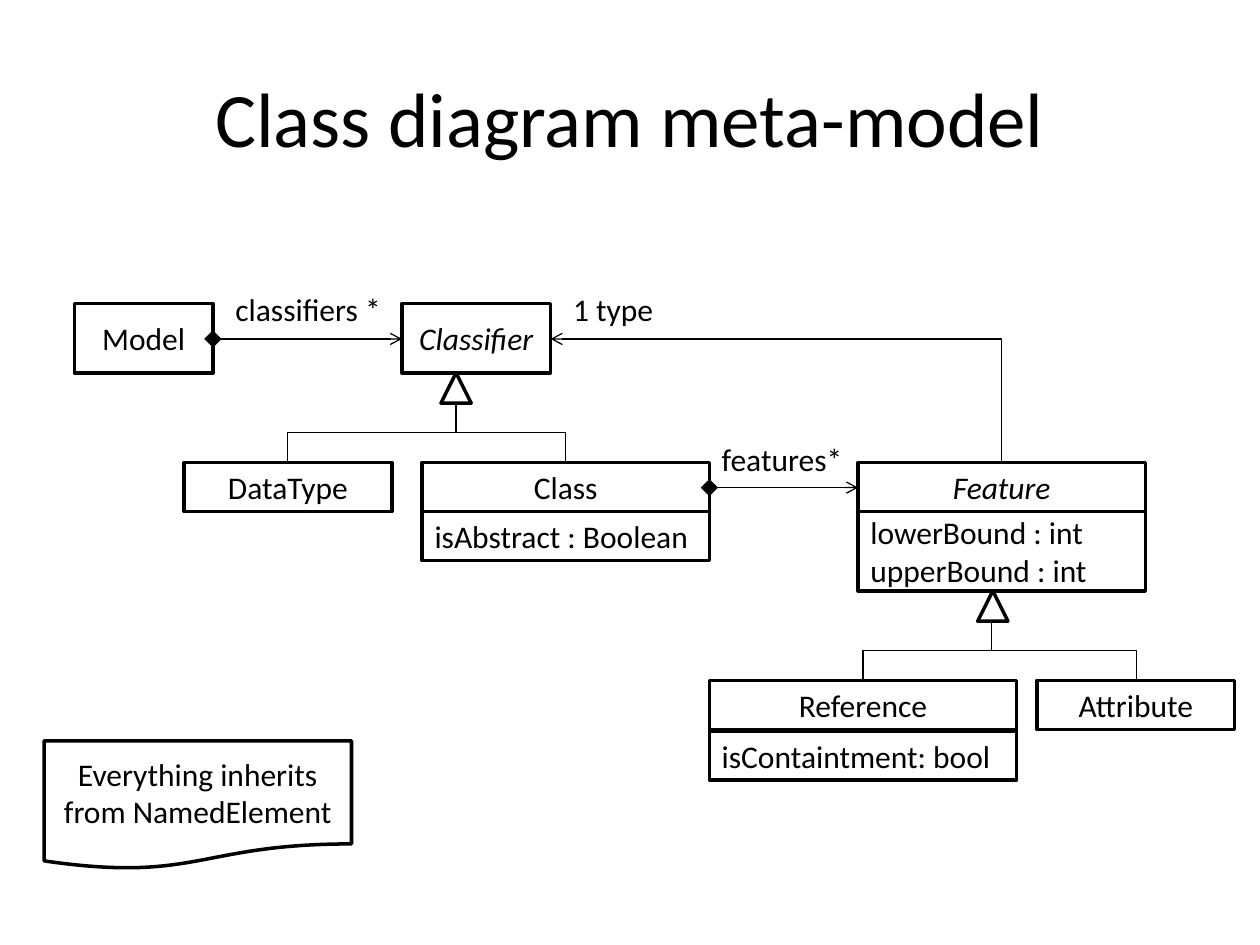
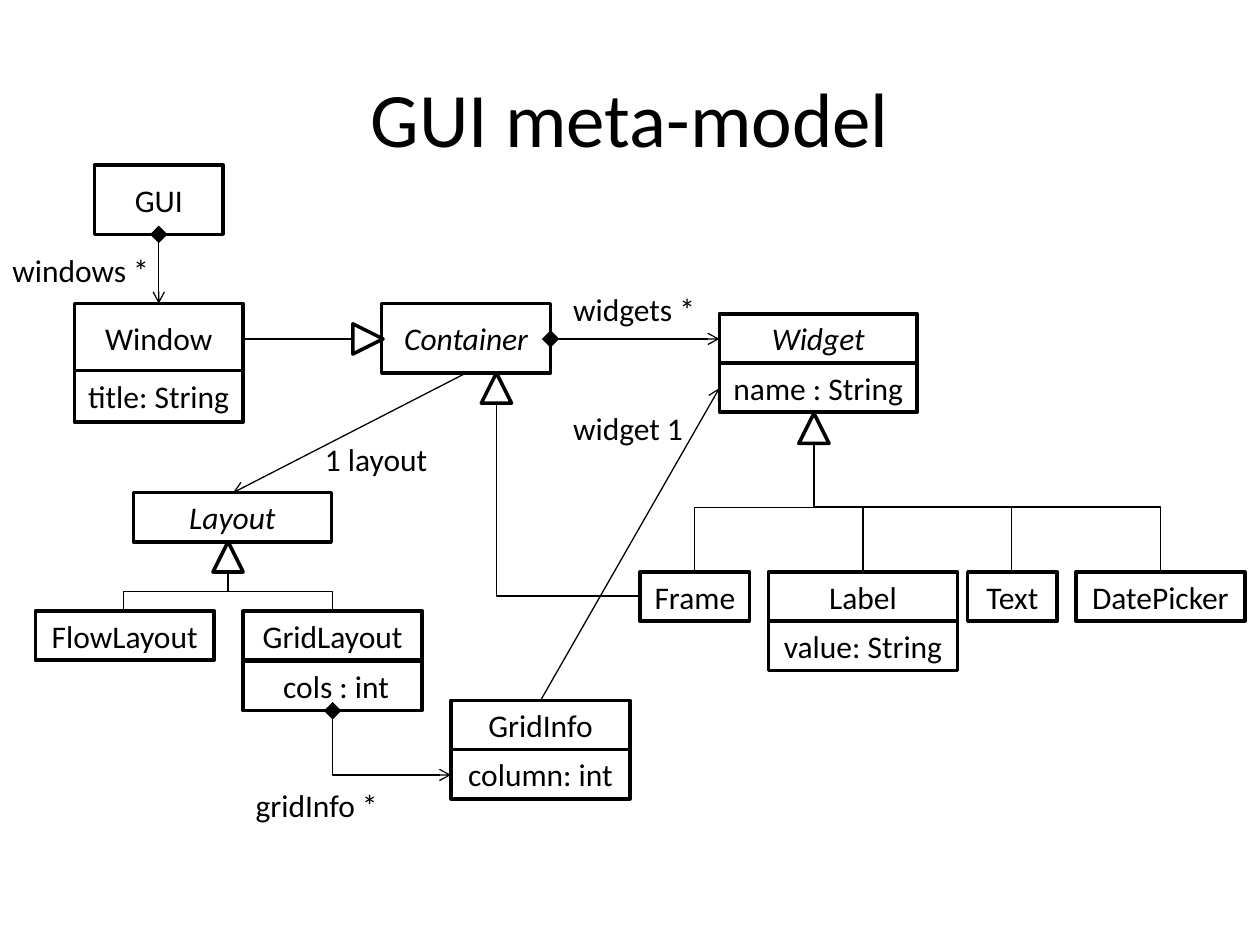
"""Build two slides with UML class diagrams of the class and GUI meta-models."""
import dataclasses
import math

import lxml.etree
import pptx
import pptx.dml.color
import pptx.enum.shapes
import pptx.enum.text
import pptx.oxml.ns
import pptx.util

Inches = pptx.util.Inches
Shape = pptx.enum.shapes.MSO_SHAPE
Align = pptx.enum.text.PP_ALIGN
qn = pptx.oxml.ns.qn


@dataclasses.dataclass(frozen=True)
class Theme:
    ink = pptx.dml.color.RGBColor(0, 0, 0)
    paper = pptx.dml.color.RGBColor(255, 255, 255)
    font = "Calibri"
    title_size = pptx.util.Pt(44)
    body_size = pptx.util.Pt(18)
    outline = pptx.util.Pt(2)
    thin = pptx.util.Pt(0.75)


theme = Theme()
ROW, TALL, TIP = 0.39, 0.55, 0.24
RIGHT, DOWN, LEFT, UP = 0, 90, 180, 270


def write(frame, text, size, align, italic=False):
    frame.vertical_anchor = pptx.enum.text.MSO_ANCHOR.MIDDLE
    for index, line in enumerate(text.split("\n")):
        para = frame.paragraphs[0] if index == 0 else frame.add_paragraph()
        para.alignment = align
        span = para.add_run()
        span.text = line
        span.font.name = theme.font
        span.font.size = size
        span.font.italic = italic
        span.font.color.rgb = theme.ink


def connect(page, start, end, preset="line", heading=RIGHT, head=None, tail=None):
    angle = math.radians(heading)
    across, down = end[0] - start[0], end[1] - start[1]
    width = across * math.cos(angle) + down * math.sin(angle)
    height = down * math.cos(angle) - across * math.sin(angle)
    middle_x, middle_y = (start[0] + end[0]) / 2, (start[1] + end[1]) / 2
    line = page.shapes.add_connector(
        pptx.enum.shapes.MSO_CONNECTOR.STRAIGHT,
        Inches(middle_x - width / 2), Inches(middle_y - height / 2),
        Inches(middle_x + width / 2), Inches(middle_y + height / 2))
    line.line.color.rgb = theme.ink
    line.line.width = theme.thin
    properties = line._element.spPr
    properties.find(qn("a:xfrm")).set("rot", str(heading * 60000))
    properties.find(qn("a:prstGeom")).set("prst", preset)
    stroke = properties.find(qn("a:ln"))
    for tag, kind in (("a:headEnd", head), ("a:tailEnd", tail)):
        if kind:
            size = "lg" if kind == "diamond" else "med"
            lxml.etree.SubElement(stroke, qn(tag), type=kind, w=size, len=size)
    lxml.etree.SubElement(properties, qn("a:effectLst"))


class_diagram = {
    "title": "Class diagram meta-model",
    "classes": [
        ("Model", 0.59, 2.41, 1.1, TALL),
        ("DataType", 1.46, 3.67, 1.65, ROW),
        ("Class", 3.35, 3.67, 2.28, ROW),
        ("Reference", 5.63, 5.4, 2.44, ROW),
        ("Attribute", 8.23, 5.4, 1.57, ROW),
    ],
    "abstract": [
        ("Classifier", 3.19, 2.41, 1.18, TALL),
        ("Feature", 6.81, 3.67, 2.28, ROW),
    ],
    "attributes": [
        ("isAbstract : Boolean", 3.35, 4.06, 2.28, ROW),
        ("isContaintment: bool", 5.63, 5.8, 2.44, ROW),
        ("lowerBound : int\nupperBound : int", 6.81, 4.06, 2.28, 0.63),
    ],
    "notes": [("Everything inherits\nfrom NamedElement", 0.35, 5.88, 2.44, 1.02)],
    "tips": [(3.5, 2.96, 0), (7.76, 4.69, 0)],
    "trees": [
        ((3.62, 3.2), 3.67, [2.28, 4.49]),
        ((7.87, 4.93), 5.4, [6.85, 9.02]),
    ],
    "links": [
        ((1.69, 2.69), (3.19, 2.69), "line", RIGHT, "diamond", "arrow"),
        ((5.63, 3.87), (6.81, 3.87), "line", RIGHT, "diamond", "arrow"),
        ((7.95, 3.67), (4.37, 2.69), "bentConnector2", UP, None, "arrow"),
    ],
    "labels": [
        ("classifiers *", 1.77, 2.25, 1.37),
        ("features*", 5.63, 3.44, 1.17),
        ("1 type", 4.45, 2.25, 0.85),
    ],
}

gui_diagram = {
    "title": "GUI meta-model",
    "classes": [
        ("GUI", 0.75, 1.31, 1.02, TALL),
        ("Window", 0.59, 2.41, 1.34, TALL),
        ("title: String", 0.59, 2.94, 1.34, 0.41),
        ("name : String", 5.71, 2.88, 1.57, ROW),
        ("Frame", 5.08, 4.54, 0.87, ROW),
        ("Label", 6.1, 4.54, 1.5, ROW),
        ("value: String", 6.1, 4.93, 1.5, ROW),
        ("Text", 7.68, 4.54, 0.71, ROW),
        ("DatePicker", 8.54, 4.54, 1.34, ROW),
        ("FlowLayout", 0.28, 4.85, 1.42, ROW),
        ("GridLayout", 1.93, 4.85, 1.42, ROW),
        (" cols : int", 1.93, 5.25, 1.42, ROW),
        ("GridInfo", 3.58, 5.56, 1.42, ROW),
        ("column: int", 3.58, 5.95, 1.42, ROW),
    ],
    "abstract": [
        ("Container", 3.03, 2.41, 1.34, TALL),
        ("Widget", 5.71, 2.49, 1.57, ROW),
        ("Layout", 1.06, 3.91, 1.57, ROW),
    ],
    "attributes": [],
    "notes": [],
    "tips": [(6.34, 3.28, 0), (2.8, 2.57, 90), (1.69, 4.3, 0), (3.82, 2.96, 0)],
    "trees": [
        ((6.46, 3.51), 4.54, [5.51, 6.85, 8.03, 9.21]),
        ((1.81, 4.54), 4.85, [0.98, 2.64]),
    ],
    "links": [
        ((1.26, 1.86), (1.26, 2.41), "line", RIGHT, "diamond", "arrow"),
        ((4.37, 2.69), (5.71, 2.69), "line", RIGHT, "diamond", "arrow"),
        ((1.93, 2.69), (2.8, 2.69), "line", RIGHT, None, None),
        ((3.7, 2.96), (1.85, 3.91), "line", RIGHT, None, "arrow"),
        ((4.29, 5.56), (5.71, 3.08), "line", RIGHT, None, "arrow"),
        ((2.64, 5.64), (3.58, 6.15), "bentConnector2", DOWN, "diamond", "arrow"),
        ((5.08, 4.73), (3.94, 3.2), "bentConnector2", LEFT, None, None),
    ],
    "labels": [
        ("windows *", 0, 1.94, 1.3),
        ("widgets *", 4.45, 2.25, 1.18),
        ("1 layout", 2.48, 3.44, 1.02),
        ("gridInfo *", 1.93, 6.19, 1.18),
        ("widget 1", 4.45, 3.2, 1.09),
    ],
}

box_styles = {
    "classes": (Shape.RECTANGLE, Align.CENTER, False),
    "abstract": (Shape.RECTANGLE, Align.CENTER, True),
    "attributes": (Shape.RECTANGLE, Align.LEFT, False),
    "notes": (Shape.FLOWCHART_DOCUMENT, Align.CENTER, False),
}

deck = pptx.Presentation()
deck.slide_width = Inches(10)
deck.slide_height = Inches(7.5)

for diagram in (class_diagram, gui_diagram):
    page = deck.slides.add_slide(deck.slide_layouts[6])
    title = page.shapes.add_textbox(Inches(0.5), Inches(0.3), Inches(9), Inches(1.25))
    title.text_frame.word_wrap = True
    write(title.text_frame, diagram["title"], theme.title_size, Align.CENTER)

    outlined = []
    for group, (outline, align, italic) in box_styles.items():
        for text, *place in diagram[group]:
            box = page.shapes.add_shape(outline, *map(Inches, place))
            box.text_frame.word_wrap = True
            write(box.text_frame, text, theme.body_size, align, italic)
            outlined.append(box)
    for left, top, turn in diagram["tips"]:
        tip = page.shapes.add_shape(
            Shape.ISOSCELES_TRIANGLE, *map(Inches, (left, top, TIP, TIP)))
        tip.rotation = turn
        outlined.append(tip)
    for shape in outlined:
        shape.shadow.inherit = False
        shape.fill.solid()
        shape.fill.fore_color.rgb = theme.paper
        shape.line.color.rgb = theme.ink
        shape.line.width = theme.outline

    for parent, child_top, centres in diagram["trees"]:
        for centre in centres:
            connect(page, (centre, child_top), parent, "bentConnector3", UP)
    for link in diagram["links"]:
        connect(page, *link)

    for text, left, top, width in diagram["labels"]:
        label = page.shapes.add_textbox(*map(Inches, (left, top, width, 0.4)))
        label.text_frame.word_wrap = False
        label.text_frame.auto_size = pptx.enum.text.MSO_AUTO_SIZE.SHAPE_TO_FIT_TEXT
        write(label.text_frame, text, theme.body_size, Align.LEFT)

deck.save("out.pptx")
